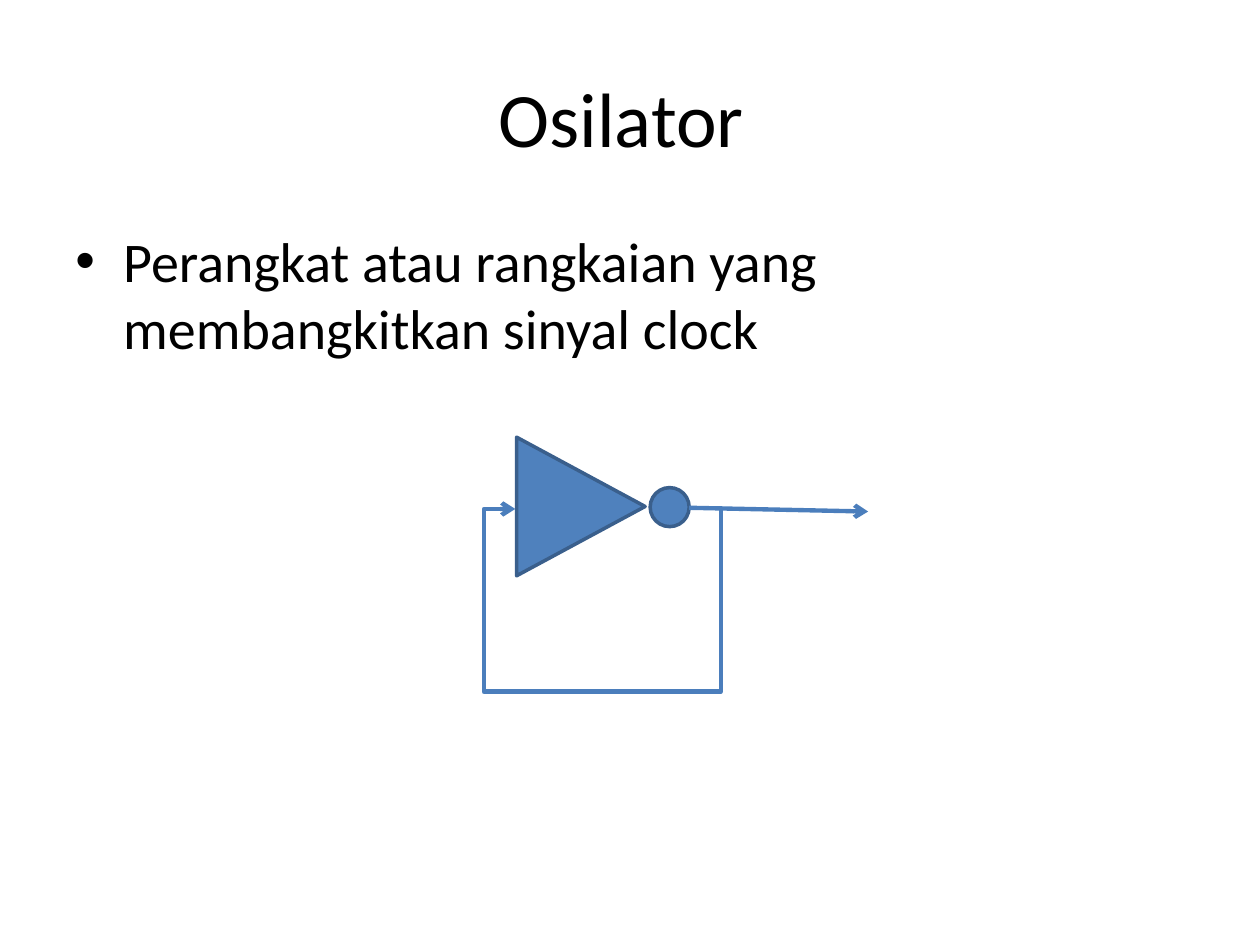
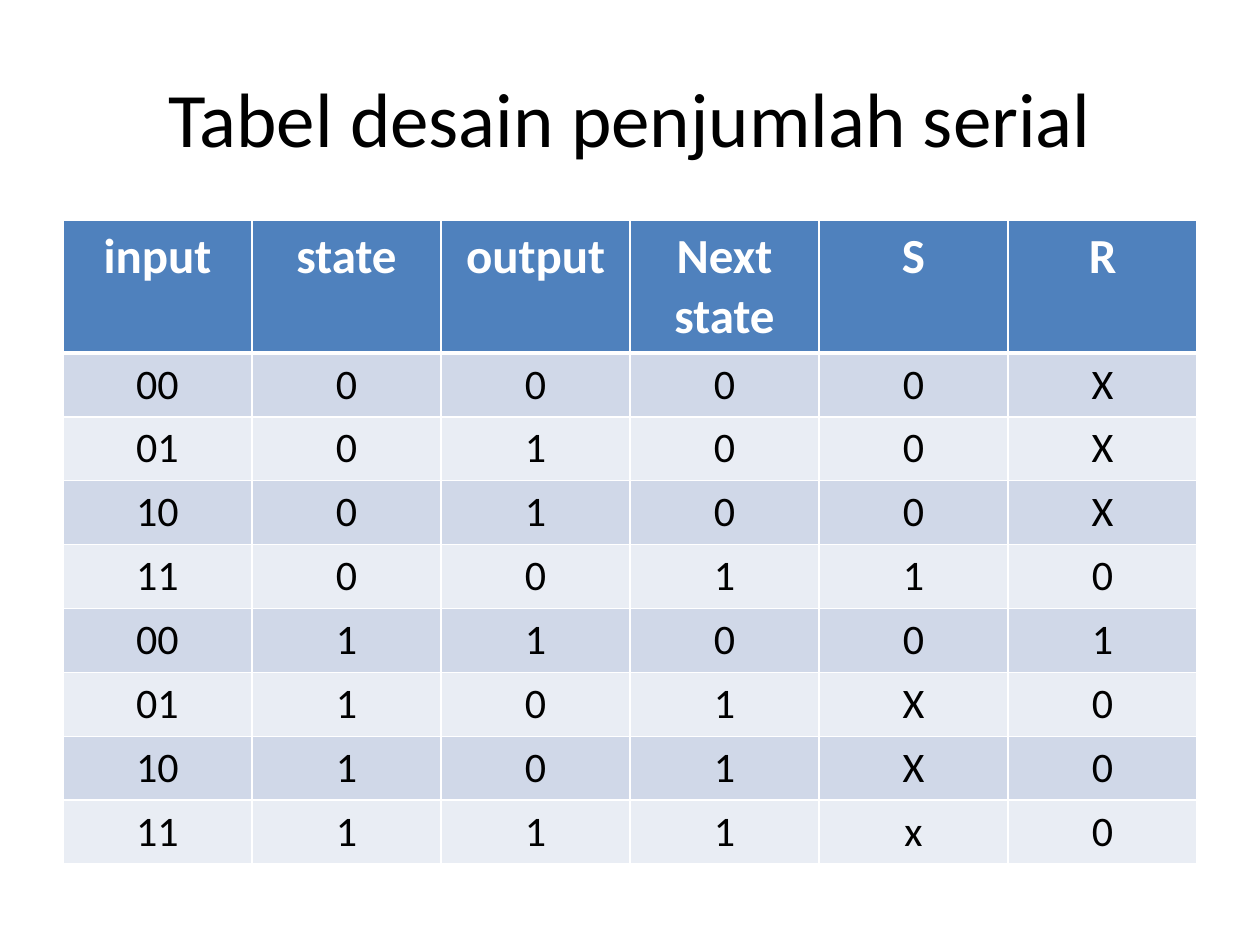
from lxml.etree import SubElement
from pptx import Presentation
from pptx.dml.color import RGBColor
from pptx.enum.shapes import MSO_CONNECTOR, MSO_SHAPE
from pptx.enum.text import MSO_ANCHOR, PP_ALIGN
from pptx.oxml.ns import qn
from pptx.util import Inches, Pt

WIDTH, HEIGHT = Inches(10), Inches(7.5)
MARGIN = Inches(0.5)
CONTENT_TOP = Inches(1.75)
CONTENT_WIDTH = WIDTH - 2 * MARGIN
FONT = "Calibri"

BLACK = RGBColor(0x00, 0x00, 0x00)
WHITE = RGBColor(0xFF, 0xFF, 0xFF)
BLUE = RGBColor(0x4F, 0x81, 0xBD)
OUTLINE = RGBColor(0x3A, 0x5F, 0x8C)
WIRE = RGBColor(0x4B, 0x7E, 0xBC)
BANDS = (RGBColor(0xD0, 0xD8, 0xE8), RGBColor(0xE9, 0xED, 0xF4))

HEADINGS = ("input", "state", "output", "Next state", "S", "R")
TRANSITIONS = (
    ("00", "0", "0", "0", "0", "X"),
    ("01", "0", "1", "0", "0", "X"),
    ("10", "0", "1", "0", "0", "X"),
    ("11", "0", "0", "1", "1", "0"),
    ("00", "1", "1", "0", "0", "1"),
    ("01", "1", "0", "1", "X", "0"),
    ("10", "1", "0", "1", "X", "0"),
    ("11", "1", "1", "1", "x", "0"),
)


def add_run(p, text, size, color=BLACK, bold=False):
    r = p.add_run()
    r.text = text
    r.font.name = FONT
    r.font.size = Pt(size)
    r.font.bold = bold
    r.font.color.rgb = color


def add_titled_slide(prs, title):
    s = prs.slides.add_slide(prs.slide_layouts[5])
    sp = s.shapes.title
    sp.left, sp.top = MARGIN, Inches(0.3)
    sp.width, sp.height = CONTENT_WIDTH, Inches(1.25)
    tf = sp.text_frame
    tf.vertical_anchor = MSO_ANCHOR.MIDDLE
    p = tf.paragraphs[0]
    p.alignment = PP_ALIGN.CENTER
    add_run(p, title, 44)
    return s


def add_bullet(s, text, height):
    sp = s.shapes.add_textbox(MARGIN, CONTENT_TOP, CONTENT_WIDTH, height)
    tf = sp.text_frame
    tf.word_wrap = True
    p = tf.paragraphs[0]
    p.space_before = Pt(6.4)
    add_run(p, text, 32)
    pPr = p._p.get_or_add_pPr()
    pPr.set("marL", str(Inches(0.38)))
    pPr.set("indent", str(-Inches(0.38)))
    SubElement(pPr, qn("a:buFont"), typeface="Arial")
    SubElement(pPr, qn("a:buChar"), char="•")


def add_gate_part(s, kind, left, top, width, height, rotation=0):
    sp = s.shapes.add_shape(kind, *map(Inches, (left, top, width, height)))
    sp.shadow.inherit = False
    sp.rotation = rotation
    sp.fill.solid()
    sp.fill.fore_color.rgb = BLUE
    sp.line.color.rgb = OUTLINE
    sp.line.width = Pt(2)


def style_wire(sp):
    """Colour a wire, put an arrowhead at its end and remove its shadow."""
    sp.line.color.rgb = WIRE
    sp.line.width = Pt(2.5)
    SubElement(sp.line._get_or_add_ln(), qn("a:tailEnd"), type="arrow")
    SubElement(sp._element.spPr, qn("a:effectLst"))


def add_straight_wire(s, start, end):
    style_wire(s.shapes.add_connector(
        MSO_CONNECTOR.STRAIGHT, *map(Inches, start + end)))


def add_bent_wire(s, points):
    corners = [(Inches(x), Inches(y)) for x, y in points]
    builder = s.shapes.build_freeform(*corners[0])
    builder.add_line_segments(corners[1:], close=False)
    sp = builder.convert_to_shape()
    sp.fill.background()
    style_wire(sp)


def add_border(cell, side, points):
    ln = SubElement(cell._tc.get_or_add_tcPr(), qn(f"a:ln{side}"),
                    w=str(Pt(points)))
    fill = SubElement(ln, qn("a:solidFill"))
    SubElement(fill, qn("a:srgbClr"), val=str(WHITE))


def fill_cell(cell, text, fill, size, color, bold, top, bottom):
    for side, points in (("L", 1), ("R", 1), ("T", top), ("B", bottom)):
        add_border(cell, side, points)
    cell.fill.solid()
    cell.fill.fore_color.rgb = fill
    p = cell.text_frame.paragraphs[0]
    p.alignment = PP_ALIGN.CENTER
    add_run(p, text, size, color, bold)


def add_state_table(s, headings, rows):
    header_height, row_height = Inches(1.03), Inches(0.5)
    table = s.shapes.add_table(
        len(rows) + 1, len(headings), MARGIN, CONTENT_TOP, CONTENT_WIDTH,
        header_height + len(rows) * row_height).table
    for row in table.rows:
        row.height = row_height
    table.rows[0].height = header_height
    for c, text in enumerate(headings):
        fill_cell(table.cell(0, c), text, BLUE, 28, WHITE, True, 1, 3)
    for r, values in enumerate(rows, start=1):
        top = 3 if r == 1 else 1
        for c, text in enumerate(values):
            fill_cell(table.cell(r, c), text, BANDS[(r - 1) % 2],
                      24, BLACK, False, top, 1)


def build_oscillator(prs):
    s = add_titled_slide(prs, "Osilator ")
    add_bullet(s, "Perangkat atau rangkaian yang membangkitkan sinyal clock",
               Inches(1.76))
    add_gate_part(s, MSO_SHAPE.ISOSCELES_TRIANGLE, 4.06, 3.51, 1.1, 1.02, 90)
    add_gate_part(s, MSO_SHAPE.OVAL, 5.16, 3.87, 0.31, 0.31)
    output, gate_input = (5.47, 4.03), (4.09, 4.04)
    right, left, bottom = 5.72, 3.84, 5.49
    add_bent_wire(s, (output, (right, output[1]), (right, bottom),
                      (left, bottom), (left, gate_input[1]), gate_input))
    add_straight_wire(s, output, (6.89, 4.06))


def build_serial_adder(prs):
    s = add_titled_slide(prs, "Tabel desain penjumlah serial")
    add_state_table(s, HEADINGS, TRANSITIONS)


def main():
    prs = Presentation()
    prs.slide_width, prs.slide_height = WIDTH, HEIGHT
    build_oscillator(prs)
    build_serial_adder(prs)
    prs.save("out.pptx")


if __name__ == "__main__":
    main()
